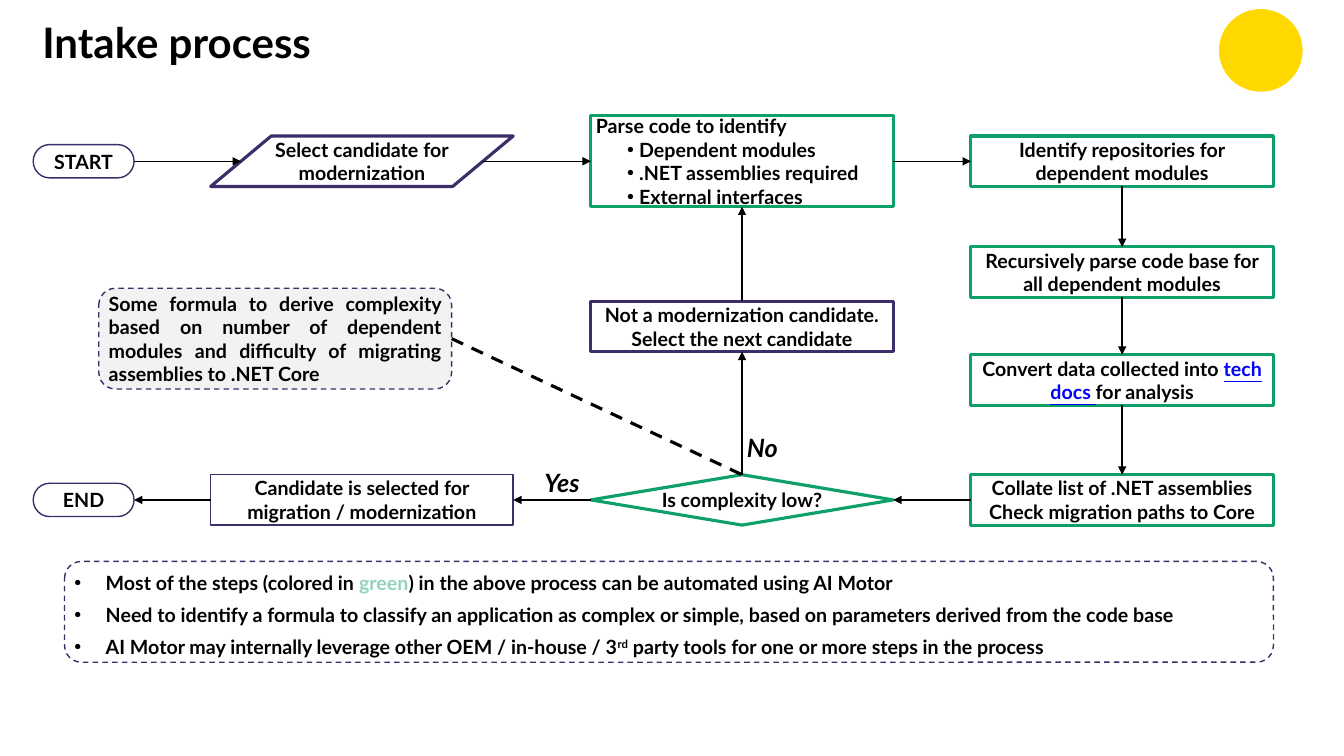
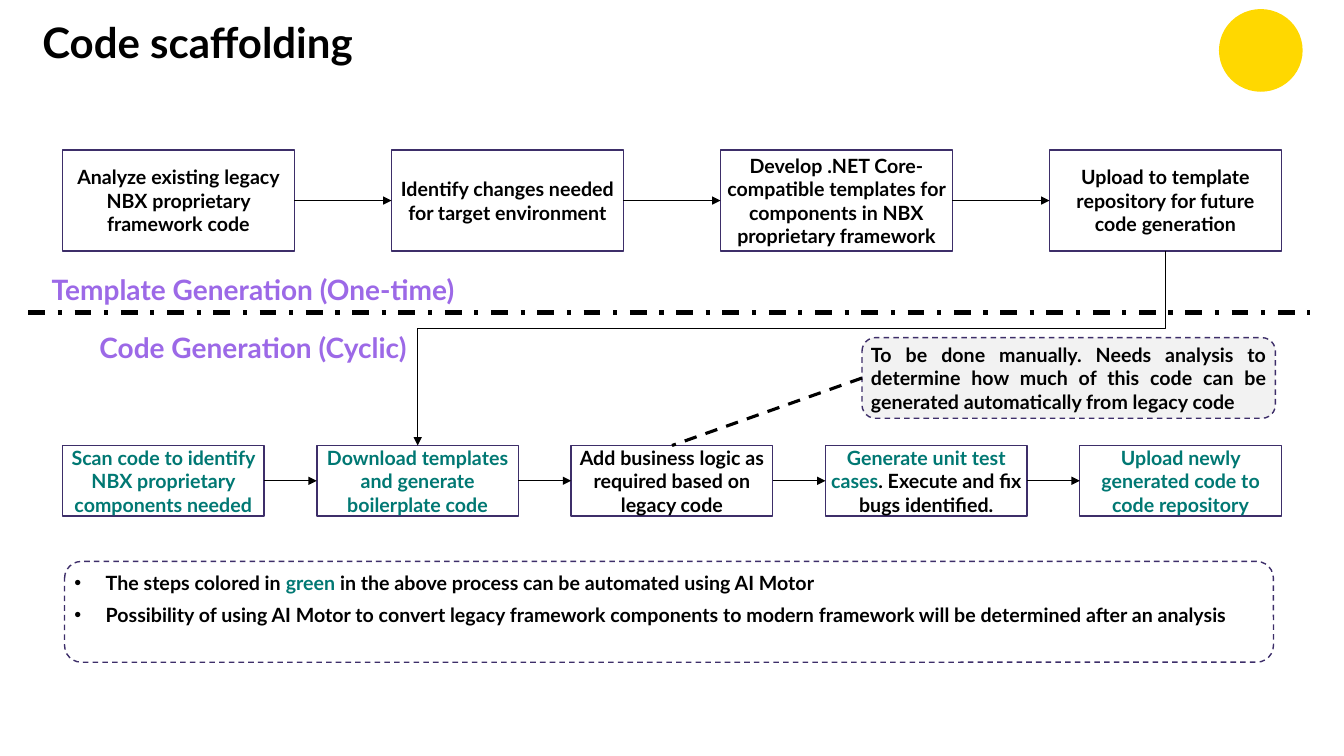
from lxml.etree import SubElement
from pptx import Presentation
from pptx.dml.color import RGBColor
from pptx.enum.dml import MSO_LINE
from pptx.enum.shapes import MSO_CONNECTOR, MSO_SHAPE
from pptx.enum.text import MSO_ANCHOR, MSO_AUTO_SIZE, PP_ALIGN
from pptx.oxml.ns import qn
from pptx.util import Inches, Pt

# Shared look
FONT = "Lato"
BLACK, PURPLE, GREEN, TEAL = "000000", "3D2E69", "0FA069", "007873"
PALE_GREEN, LILAC, GREY, BLUE, YELLOW = "92D4BB", "9C69E7", "F2F2F2", "0000FF", "FFD800"
CENTER, LEFT, JUSTIFY = PP_ALIGN.CENTER, PP_ALIGN.LEFT, PP_ALIGN.JUSTIFY
PROCESS, ROUNDED = MSO_SHAPE.FLOWCHART_PROCESS, MSO_SHAPE.ROUNDED_RECTANGLE
TERMINATOR, DECISION = MSO_SHAPE.FLOWCHART_TERMINATOR, MSO_SHAPE.FLOWCHART_DECISION
SLANTED = MSO_SHAPE.FLOWCHART_DATA
SIDES = ["top", "left", "bottom", "right"]
SLANT = 0.1  # share of a slanted box's width cut off at mid height

# Intake process: a paragraph is a string or a list of (text, format) spans
COLUMNS = [0.83, 3.59, 7.36, 11.13]
ROWS = [1.6, 2.7, 3.24, 3.77, 4.96]
WIDE, PILL = (3, 0.5), (1, 0.33)
INTAKE_BOXES = {  # name: column, row, size, shape, line colour, line width, paragraphs
    "start": (0, 0, PILL, TERMINATOR, PURPLE, 1, ["START"]),
    "select": (1, 0, WIDE, SLANTED, PURPLE, 2.25, ["Select candidate for\vmodernization"]),
    "parse": (2, 0, (3, 0.9), PROCESS, GREEN, 2.25, ["Parse code to identify"]),
    "identify": (3, 0, WIDE, PROCESS, GREEN, 2.25,
                 ["Identify repositories for dependent modules"]),
    "recurse": (3, 1, WIDE, PROCESS, GREEN, 2.25,
                ["Recursively parse code base for all dependent modules"]),
    "convert": (3, 3, WIDE, PROCESS, GREEN, 2.25,
                [[("Convert data collected into ", {}),
                  ("tech docs ", {"color": BLUE, "underline": True}), ("for analysis", {})]]),
    "collate": (3, 4, WIDE, PROCESS, GREEN, 2.25,
                ["Collate list of .NET assemblies", "Check migration paths to Core"]),
    "decide": (2, 4, WIDE, DECISION, GREEN, 2.25, ["Is complexity low?"]),
    "reject": (2, 2, WIDE, PROCESS, PURPLE, 2.25,
               ["Not a modernization candidate. Select the next candidate"]),
    "accept": (1, 4, WIDE, PROCESS, PURPLE, 1,
               ["Candidate is selected for migration / modernization"]),
    "end": (0, 4, PILL, TERMINATOR, PURPLE, 1, ["END"]),
}
PARSED_ITEMS = ["Dependent modules", ".NET assemblies required", "External interfaces"]
INTAKE_LINKS = [
    ("start", "right", "select", "left"), ("select", "right", "parse", "left"),
    ("parse", "right", "identify", "left"), ("identify", "bottom", "recurse", "top"),
    ("recurse", "bottom", "convert", "top"), ("convert", "bottom", "collate", "top"),
    ("collate", "left", "decide", "right"), ("decide", "top", "reject", "bottom"),
    ("reject", "top", "parse", "bottom"), ("decide", "left", "accept", "right"),
    ("accept", "left", "end", "right"),
]
INTAKE_CALLOUT = ("Some formula to derive complexity based on number of dependent modules "
                  "and difficulty of migrating assemblies to .NET Core")
INTAKE_NOTES = [
    [("Most of the steps (colored in ", {}), ("green", {"color": PALE_GREEN}),
     (") in the above process can be automated using AI Motor", {})],
    "Need to identify a formula to classify an application as complex or simple, "
    "based on parameters derived from the code base",
    [("AI Motor may internally leverage other OEM / in-house / 3", {}),
     ("rd", {"superscript": True}),
     (" party tools for one or more steps in the process", {})],
]
ANSWERS = [("No", (7.31, 4.24, 0.53, 0.4)), ("Yes", (5.3, 4.59, 0.62, 0.4))]

# Code scaffolding
GRID_LEFT, GRID_RIGHT = 0.62, 12.71
TEMPLATE_STEPS = [
    "Analyze existing legacy NBX proprietary framework code",
    "Identify changes needed for target environment",
    "Develop .NET Core-compatible templates for components in NBX proprietary framework",
    "Upload to template repository for future code generation",
]
CODE_STEPS = [
    [("Scan code to identify NBX proprietary components needed", {"color": TEAL})],
    [("Download templates and generate boilerplate code", {"color": TEAL})],
    "Add business logic as required based on legacy code",
    [("Generate unit test cases", {"color": TEAL}),
     (". Execute and fix bugs identified.", {})],
    [("Upload newly generated code to code repository", {"color": TEAL})],
]
SCAFFOLD_CALLOUT = ("To be done manually. Needs analysis to determine how much of this code "
                    "can be generated automatically from legacy code")
SCAFFOLD_NOTES = [
    [("The steps colored in ", {}), ("green", {"color": TEAL}),
     (" in the above process can be automated using AI Motor", {})],
    "Possibility of using AI Motor to convert legacy framework components to modern "
    "framework will be determined after an analysis",
]
PHASES = [("Template Generation (One-time)", (0.28, 2.65, 4.46, 0.44)),
          ("Code Generation (Cyclic)", (0.78, 3.23, 3.46, 0.44))]


# Text helpers
def rgb(value):
    return RGBColor.from_string(value)


def inches(*values):
    return [Inches(value) for value in values]


def format_run(span, size=14, color=BLACK, italic=None, underline=None, superscript=False):
    font = span.font
    font.name, font.size, font.bold = FONT, Pt(size), True
    font.italic, font.underline = italic, underline
    font.color.rgb = rgb(color)
    if superscript:
        font._element.set("baseline", "30000")


def set_bullet(para, margin, hanging):
    properties = para._p.get_or_add_pPr()
    properties.set("marL", str(Inches(margin)))
    properties.set("indent", str(-Inches(hanging)))
    SubElement(properties, qn("a:buFont")).set("typeface", "Arial")
    SubElement(properties, qn("a:buChar")).set("char", "•")


def set_insets(frame, side, vertical=0.05):
    frame.margin_left = frame.margin_right = Inches(side)
    frame.margin_top = frame.margin_bottom = Inches(vertical)


def write(frame, paragraphs, align=CENTER, **style):
    for index, content in enumerate(paragraphs):
        para = frame.paragraphs[0] if index == 0 else frame.add_paragraph()
        para.alignment = align
        if isinstance(content, str):
            para.text = content
            formats = [{}] * len(para.runs)
        else:
            formats = [span_format for _, span_format in content]
            for text, _ in content:
                para.add_run().text = text
        for span, span_format in zip(para.runs, formats):
            format_run(span, **{**style, **span_format})


# Shape helpers
def add_box(slide, place, shape, paragraphs, line=PURPLE, width=1, fill=None,
            align=CENTER, dashed=False):
    box = slide.shapes.add_shape(shape, *inches(*place))
    box.shadow.inherit = False
    if fill:
        box.fill.solid()
        box.fill.fore_color.rgb = rgb(fill)
    else:
        box.fill.background()
    box.line.color.rgb, box.line.width = rgb(line), Pt(width)
    if dashed:
        box.line.dash_style = MSO_LINE.DASH
    frame = box.text_frame
    tight = shape in (SLANTED, DECISION)
    frame.word_wrap = not tight
    frame.vertical_anchor = MSO_ANCHOR.MIDDLE
    set_insets(frame, 0 if tight else 0.05, 0 if tight else 0.05)
    write(frame, paragraphs, align)
    return box


def add_callout(slide, place, text):
    return add_box(slide, place, ROUNDED, [text], fill=GREY, align=JUSTIFY, dashed=True)


def add_label(slide, text, place, align=LEFT, **style):
    label = slide.shapes.add_textbox(*inches(*place))
    label.text_frame.word_wrap = False
    write(label.text_frame, [text], align, **style)


def add_line(slide, start, end, width=1, dash=None, arrow=False, kind=MSO_CONNECTOR.STRAIGHT):
    line = slide.shapes.add_connector(kind, *start, *end)
    line.line.color.rgb, line.line.width = rgb(BLACK), Pt(width)
    if dash:
        line.line.dash_style = dash
    properties = line._element.spPr
    if arrow:
        SubElement(properties.find(qn("a:ln")), qn("a:tailEnd")).set("type", "triangle")
    SubElement(properties, qn("a:effectLst"))
    return line


def side_point(box, side):
    inset = int(box.width * SLANT) if box.auto_shape_type == SLANTED else 0
    middle_x, middle_y = box.left + box.width // 2, box.top + box.height // 2
    return {"top": (middle_x, box.top), "bottom": (middle_x, box.top + box.height),
            "left": (box.left + inset, middle_y),
            "right": (box.left + box.width - inset, middle_y)}[side]


def link(slide, source, source_side, target, target_side, **style):
    line = add_line(slide, side_point(source, source_side),
                    side_point(target, target_side), **style)
    if source.auto_shape_type != SLANTED:
        line.begin_connect(source, SIDES.index(source_side))
    if target.auto_shape_type != SLANTED:
        line.end_connect(target, SIDES.index(target_side))


def add_down_elbow(slide, source, target, bend):
    """Go down from source, across to the left, then down to target."""
    (x1, y1), (x2, y2) = side_point(source, "bottom"), side_point(target, "top")
    drop, run = y2 - y1, x1 - x2
    left, top = (x1 + x2 - drop) // 2, (y1 + y2 - run) // 2
    line = add_line(slide, (left, top), (left + drop, top + run), arrow=True,
                    kind=MSO_CONNECTOR.ELBOW)
    properties = line._element.spPr
    properties.find(qn("a:xfrm")).set("rot", str(90 * 60000))
    geometry = properties.find(qn("a:prstGeom"))
    adjustments = geometry.find(qn("a:avLst"))
    if adjustments is None:
        adjustments = SubElement(geometry, qn("a:avLst"))
    guide = SubElement(adjustments, qn("a:gd"))
    guide.set("name", "adj1")
    guide.set("fmla", f"val {round(bend * 100000)}")


def add_page(deck, title, notes):
    slide = deck.slides.add_slide(deck.slide_layouts[5])
    heading = slide.shapes.title
    heading.left, heading.top, heading.width, heading.height = inches(0.42, 0.17, 11.07, 0.56)
    frame = heading.text_frame
    frame.auto_size, frame.vertical_anchor = MSO_AUTO_SIZE.NONE, MSO_ANCHOR.MIDDLE
    set_insets(frame, 0)
    write(frame, [title], LEFT, size=30)
    frame.paragraphs[0].line_spacing = 0.9
    # Plain emblem
    emblem = slide.shapes.add_shape(MSO_SHAPE.OVAL, *inches(12.09, 0.09, 0.83, 0.82))
    emblem.shadow.inherit = False
    emblem.fill.solid()
    emblem.fill.fore_color.rgb = rgb(YELLOW)
    emblem.line.fill.background()
    # Notes panel
    panel = add_box(slide, (0.64, 5.57, 11.99, 1), ROUNDED, notes, align=JUSTIFY, dashed=True)
    panel.text_frame.vertical_anchor = MSO_ANCHOR.TOP
    for para in panel.text_frame.paragraphs:
        para.space_after = Pt(6)
        set_bullet(para, 0.31, 0.31)
    return slide


# Slides
def build_intake(deck):
    slide = add_page(deck, "Intake process", INTAKE_NOTES)
    boxes = {}
    for name, (column, row, (width, height), shape, color, weight, text) in INTAKE_BOXES.items():
        place = (COLUMNS[column] - width / 2, ROWS[row] - height / 2, width, height)
        boxes[name] = add_box(slide, place, shape, text, color, weight)
    frame = boxes["parse"].text_frame
    frame.paragraphs[0].alignment = LEFT
    for item in PARSED_ITEMS:
        para = frame.add_paragraph()
        para.text, para.alignment = item, LEFT
        format_run(para.runs[0])
        set_bullet(para, 0.43, 0.12)
    for source, source_side, target, target_side in INTAKE_LINKS:
        link(slide, boxes[source], source_side, boxes[target], target_side, arrow=True)
    callout = add_callout(slide, (0.98, 2.86, 3.5, 1), INTAKE_CALLOUT)
    link(slide, callout, "right", boxes["decide"], "top", width=2.25, dash=MSO_LINE.DASH)
    for text, place in ANSWERS:
        add_label(slide, text, place, size=18, italic=True)


def add_chain(slide, steps, top, width, height):
    pitch = (GRID_RIGHT - GRID_LEFT - width) / (len(steps) - 1)
    boxes = [add_box(slide, (GRID_LEFT + index * pitch, top, width, height), PROCESS, [step])
             for index, step in enumerate(steps)]
    for source, target in zip(boxes, boxes[1:]):
        link(slide, source, "right", target, "left", arrow=True)
    return boxes


def build_scaffolding(deck):
    slide = add_page(deck, "Code scaffolding", SCAFFOLD_NOTES)
    template_boxes = add_chain(slide, TEMPLATE_STEPS, 1.49, 2.3, 1)
    code_boxes = add_chain(slide, CODE_STEPS, 4.42, 2, 0.7)
    add_line(slide, inches(0.28, 3.1), inches(12.99, 3.1), 3, MSO_LINE.DASH_DOT)
    add_down_elbow(slide, template_boxes[-1], code_boxes[1], 0.4)
    callout = add_callout(slide, (8.55, 3.35, 4.1, 0.8), SCAFFOLD_CALLOUT)
    link(slide, callout, "left", code_boxes[2], "top", width=2.25, dash=MSO_LINE.DASH)
    for text, place in PHASES:
        add_label(slide, text, place, CENTER, size=20, color=LILAC)


def main():
    deck = Presentation()
    deck.slide_width, deck.slide_height = inches(13.33, 7.5)
    build_intake(deck)
    build_scaffolding(deck)
    deck.save("out.pptx")


if __name__ == "__main__":
    main()
